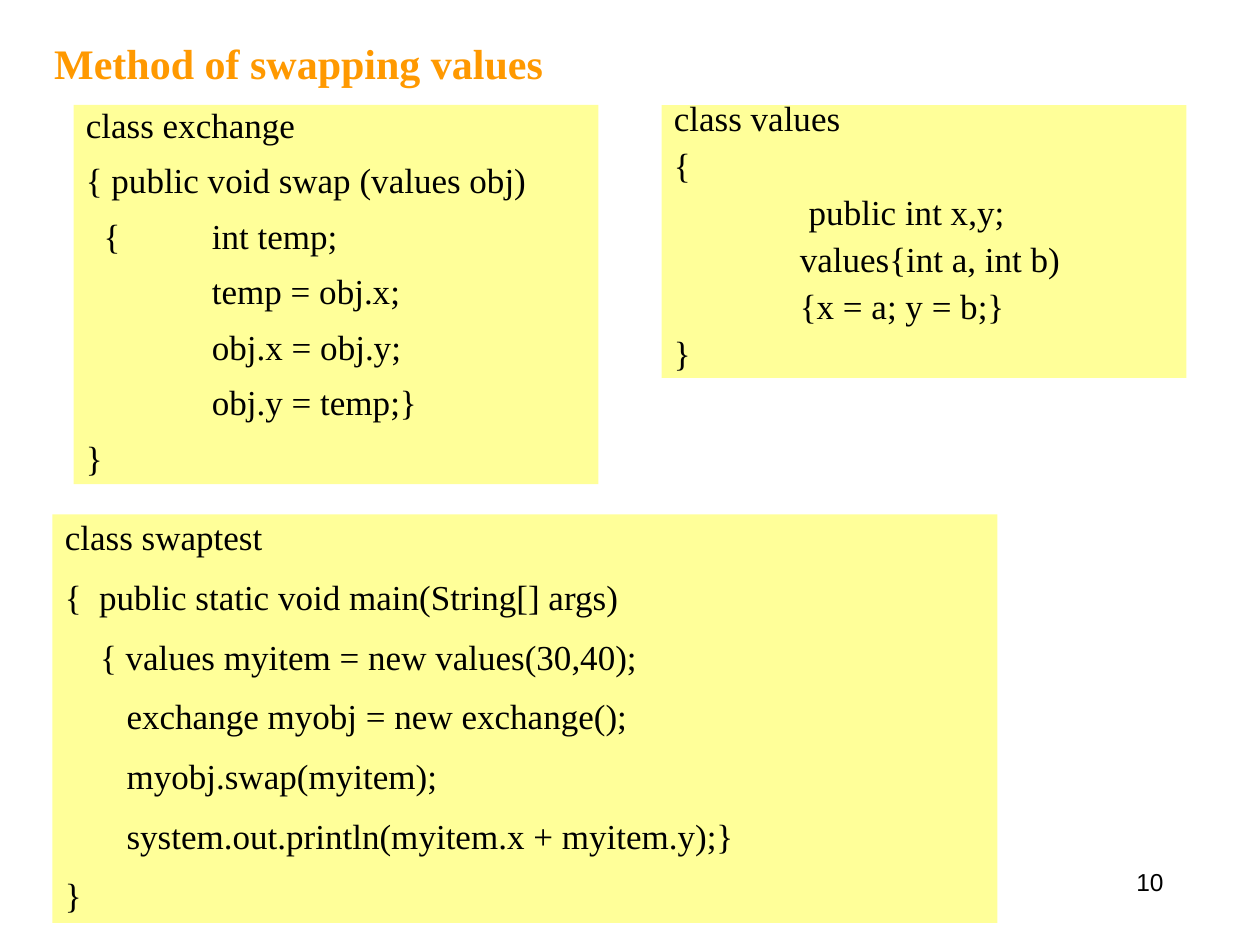
"""Build the slide showing the classes of a method that swaps two values."""
from pptx import Presentation
from pptx.dml.color import RGBColor
from pptx.enum.shapes import MSO_SHAPE
from pptx.enum.text import MSO_ANCHOR, MSO_AUTO_SIZE, PP_ALIGN
from pptx.util import Inches, Pt

COLORS = {"title": "FF9900", "code": "000000", "panel": "FFFF99"}
TAB, SPACE = 1, 0.07

presentation = Presentation()
presentation.slide_width, presentation.slide_height = Inches(10), Inches(7.5)
CELL = presentation.slide_width // 120
slide = presentation.slides.add_slide(presentation.slide_layouts[5])


def grid(*cells):
    return [round(cell * CELL) for cell in cells]


def style(paragraph, size, color, font="Times New Roman", bold=False):
    for run in paragraph.runs:
        run.font.name, run.font.size, run.font.bold = font, Pt(size), bold
        run.font.color.rgb = RGBColor.from_string(COLORS[color])


title = slide.shapes.title
title.left, title.top, title.width, title.height = grid(3, 3, 102, 6)
title.text_frame.text = "Method of swapping values"
title.text_frame.margin_left = Inches(0.1 + 0.08)
title.text_frame.vertical_anchor = MSO_ANCHOR.MIDDLE
title.text_frame.auto_size = MSO_AUTO_SIZE.NONE
title.text_frame.paragraphs[0].alignment = PP_ALIGN.LEFT
style(title.text_frame.paragraphs[0], 24, "title", bold=True)

panels = [
    ((7, 10, 50, 36.1), 0.8, [
        (0, 0, "class exchange"),
        (0, 0, "{ public void swap (values obj)"),
        (TAB, 2 * SPACE - TAB, "{ \tint temp;"),
        (TAB, 0, "temp = obj.x;"),
        (TAB, 0, "obj.x = obj.y;"),
        (TAB, 0, "obj.y = temp;}"),
        (0, 0, "}"),
    ]),
    ((63, 10, 50, 26), 0.6, [
        (0, 0, "class values"),
        (0, 0, "{"),
        (TAB + SPACE, 0, "public int x,y;"),
        (TAB, 0, "values{int a, int b)"),
        (TAB, 0, "{x = a; y = b;}"),
        (0, 0, "}"),
    ]),
    ((5, 49, 90, 38.9), 0.9, [
        (0, 0, "class swaptest"),
        (0, 0, "{  public static void main(String[] args)"),
        (4 * SPACE, 0, "{ values myitem = new values(30,40);"),
        (7 * SPACE, 0, "exchange myobj = new exchange();"),
        (7 * SPACE, 0, "myobj.swap(myitem);"),
        (7 * SPACE, 0, "system.out.println(myitem.x + myitem.y);}"),
        (0, 0, "}"),
    ]),
]
for box, line_spacing, lines in panels:
    panel = slide.shapes.add_shape(MSO_SHAPE.RECTANGLE, *grid(*box))
    panel.shadow.inherit = False
    panel.fill.solid()
    panel.fill.fore_color.rgb = RGBColor.from_string(COLORS["panel"])
    panel.line.fill.background()
    frame = panel.text_frame
    frame.word_wrap = True
    frame.auto_size = MSO_AUTO_SIZE.SHAPE_TO_FIT_TEXT
    frame.vertical_anchor = MSO_ANCHOR.TOP
    frame.text = "\n".join(text for _, _, text in lines)
    for paragraph, (margin, first_line, _) in zip(frame.paragraphs, lines):
        paragraph.alignment = PP_ALIGN.LEFT
        paragraph.line_spacing = line_spacing
        paragraph.space_before = Pt(12.5)
        properties = paragraph._p.get_or_add_pPr()
        properties.set("marL", str(Inches(margin)))
        properties.set("indent", str(Inches(first_line)))
        style(paragraph, 20, "code")

number = slide.shapes.add_textbox(*grid(104, 82, 8, 6.2))
number.text_frame.word_wrap = True
number.text_frame.text = "10"
number.text_frame.paragraphs[0].alignment = PP_ALIGN.RIGHT
style(number.text_frame.paragraphs[0], 14, "code", font="Arial")

presentation.save("out.pptx")
